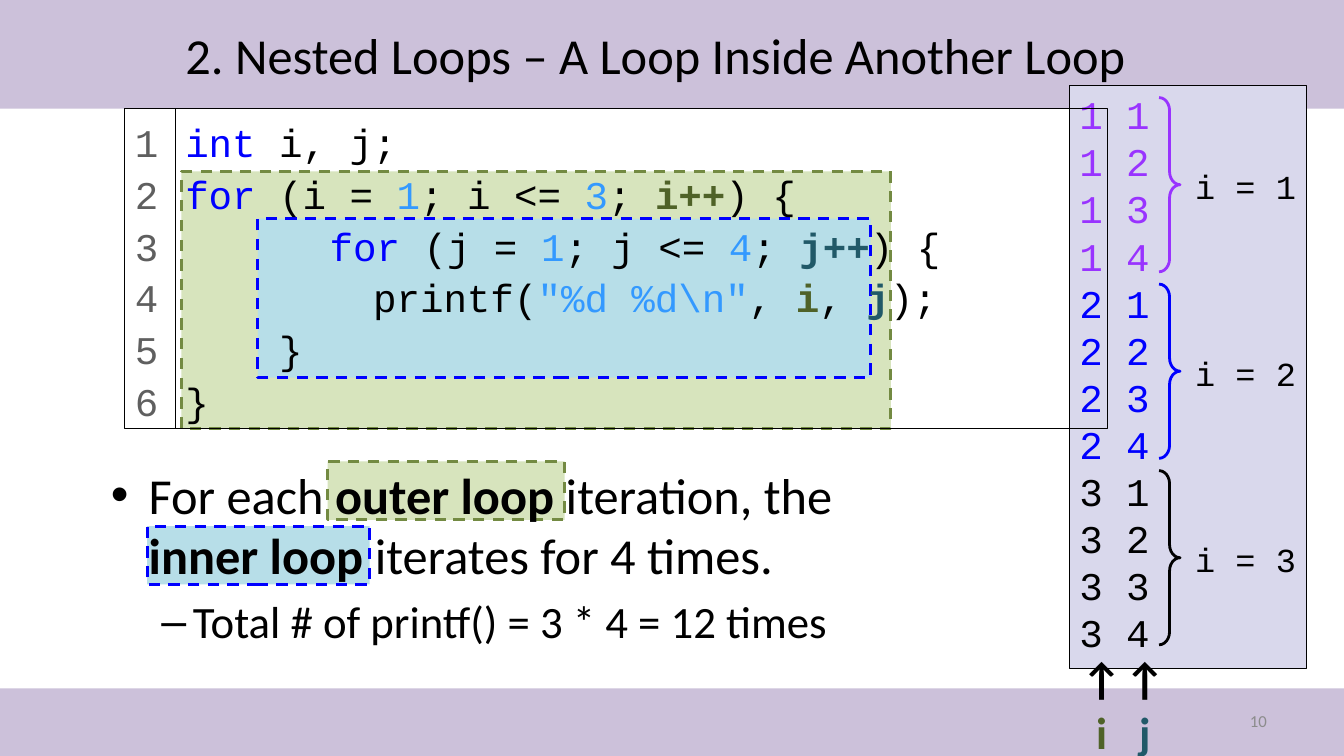
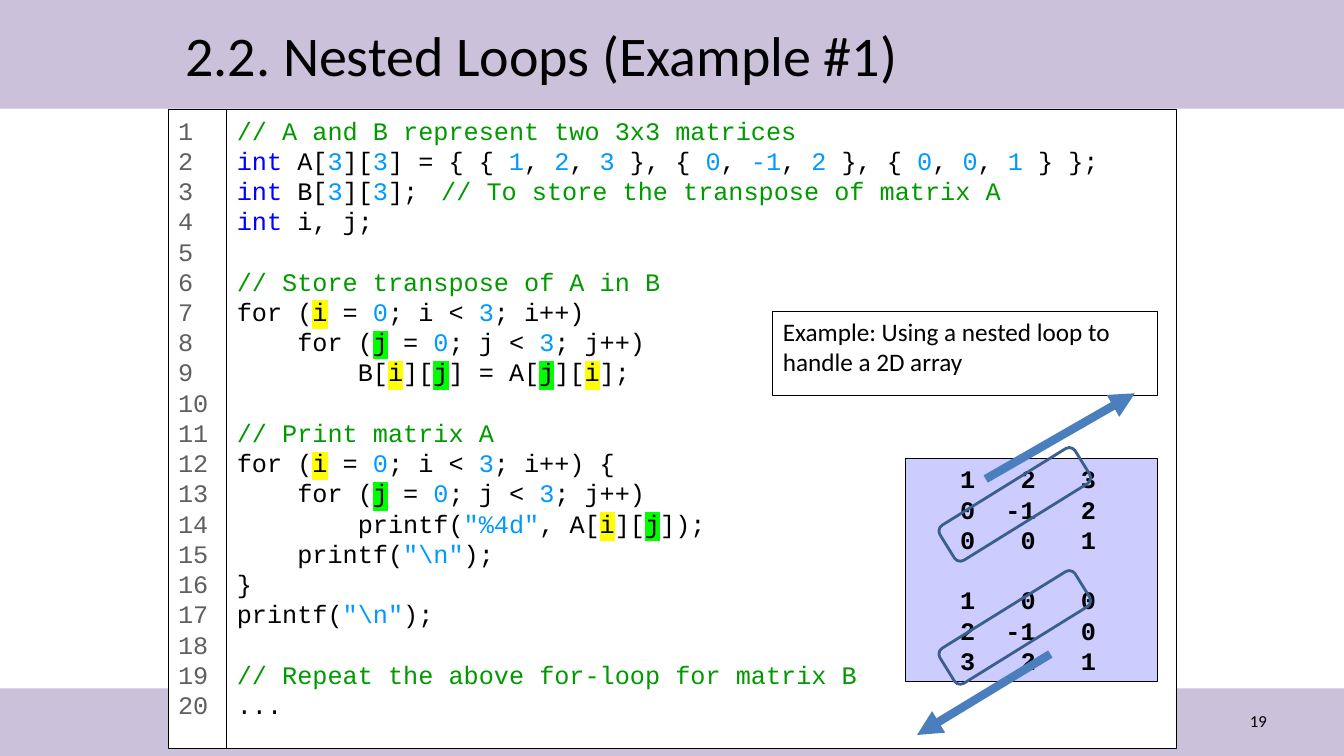
from lxml import etree
from pptx import Presentation
from pptx.dml.color import RGBColor
from pptx.enum.dml import MSO_LINE
from pptx.enum.shapes import MSO_CONNECTOR, MSO_SHAPE
from pptx.enum.text import MSO_ANCHOR, MSO_AUTO_SIZE, PP_ALIGN
from pptx.oxml.ns import qn
from pptx.util import Cm, Pt

RECTANGLE, ROUNDED = MSO_SHAPE.RECTANGLE, MSO_SHAPE.ROUNDED_RECTANGLE
BRACE = MSO_SHAPE.RIGHT_BRACE
STRAIGHT, DASH = MSO_CONNECTOR.STRAIGHT, MSO_LINE.DASH
TOP, MIDDLE = MSO_ANCHOR.TOP, MSO_ANCHOR.MIDDLE
LEFT, CENTER, RIGHT = PP_ALIGN.LEFT, PP_ALIGN.CENTER, PP_ALIGN.RIGHT

BLACK = RGBColor(0x00, 0x00, 0x00)
WHITE = RGBColor(0xFF, 0xFF, 0xFF)
GRAY = RGBColor(0x5F, 0x5F, 0x5F)
LIGHT_GRAY = RGBColor(0x8C, 0x8C, 0x8C)
BAND = RGBColor(0xCC, 0xC1, 0xDA)
BLUE = RGBColor(0x00, 0x00, 0xFF)
PURPLE = RGBColor(0x99, 0x33, 0xFF)
SKY = RGBColor(0x33, 0x99, 0xFF)
AZURE = RGBColor(0x00, 0x99, 0xFF)
COMMENT_GREEN = RGBColor(0x00, 0x99, 0x00)
OLIVE = RGBColor(0x4F, 0x62, 0x28)
TEAL = RGBColor(0x21, 0x59, 0x68)
OUTER_FILL = RGBColor(0xD7, 0xE4, 0xBD)
OUTER_LINE = RGBColor(0x73, 0x8A, 0x42)
INNER_FILL = RGBColor(0xB7, 0xDE, 0xE8)
OUTPUT_FILL = RGBColor(0xD9, 0xD8, 0xEC)
MATRIX_FILL = RGBColor(0xCC, 0xCC, 0xFF)
RING = RGBColor(0x3A, 0x5F, 0x8C)
ARROW = RGBColor(0x4B, 0x7E, 0xBC)

SANS, MONO = "Calibri", "Courier New"
LINE_PITCH = 1.2  # height of a code line relative to its font size

# Code mark-up: `Xtext` sets text in style X: (colour, bold, highlight)
STYLES = {
    "k": (BLUE, False, None),
    "n": (SKY, False, None),
    "a": (AZURE, False, None),
    "c": (COMMENT_GREEN, False, None),
    "o": (OLIVE, True, None),
    "t": (TEAL, True, None),
    "y": (BLACK, False, "FFFF00"),
    "g": (BLACK, False, "00FF00"),
}

# Content of the loop slide
LOOP_CODE = [
    "`kint `i, j;",
    "`kfor` (i = `n1`; i <= `n3`; `oi++`) {",
    "\t    `kfor` (j = `n1`; j <= `n4`; `tj++`) {",
    "        printf(`n\"%d %d\\n\"`, `oi`, `tj`);",
    "    }",
    "}",
]
LOOP_COLORS = [PURPLE, BLUE, BLACK]
INNER_COUNT = 4
LOOP_BOXES = [  # place, fill, line
    ((4.57, 4.32, 17.88, 6.48), OUTER_FILL, OUTER_LINE),
    ((6.5, 5.51, 15.44, 4.01), INNER_FILL, BLUE),
    ((8.26, 11.63, 5.97, 1.47), OUTER_FILL, OUTER_LINE),
    ((3.71, 13.26, 5.61, 1.47), INNER_FILL, BLUE),
]
LOOP_POINTS = [  # level, size, lines of (text, bold)
    (0, 36, [[("For each ", False), ("outer loop", True), (" iteration, the", False)],
             [("inner loop", True), (" iterates for 4 times.", False)]]),
    (1, 32, [[("Total # of printf() = 3 * 4 = 12 times", False)]]),
]
COUNTERS = [("i", OLIVE), ("j", TEAL)]

# Content of the matrix slide
MATRIX_CODE = [
    "`c// A and B represent two 3x3 matrices`",
    "`kint` A[`a3`][`a3`] = { { `a1`, `a2`, `a3` }, { `a0`, `a-1`, `a2` }, "
    "{ `a0`, `a0`, `a1` } };",
    "`kint` B[`a3`][`a3`];\t`c// To store the transpose of matrix A`",
    "`kint `i, j;",
    "",
    "`c// Store transpose of A in B`",
    "for (`yi` = `a0`; i < `a3`; i++)",
    "    for (`gj` = `a0`; j < `a3`; j++)",
    "        B[`yi`][`gj`] = A[`gj`][`yi`];",
    "",
    "`c// Print matrix A`",
    "for (`yi` = `a0`; i < `a3`; i++) {",
    "    for (`gj` = `a0`; j < `a3`; j++)",
    "        printf(`a\"%4d\"`, A[`yi`][`gj`]);",
    "    printf(`a\"\\n\"`);",
    "}",
    "printf(`a\"\\n\"`);",
    "",
    "`c// Repeat the above for-loop for matrix B`",
    "...",
]
MATRIX_A = [(1, 2, 3), (0, -1, 2), (0, 0, 1)]
MATRIX_B = list(zip(*MATRIX_A))
DIAGONAL_TOPS = [12.19, 15.29]
DIAGONAL_ARROWS = [(24.84, 12.07, 28.6, 9.91), (26.47, 16.48, 23.11, 18.52)]


def lengths(place):
    return [Cm(value) for value in place]


def add_box(slide, place, fill=None, line=None, width=0.75, dash=None, kind=RECTANGLE):
    shape = slide.shapes.add_shape(kind, *lengths(place))
    shape.shadow.inherit = False
    if fill is None:
        shape.fill.background()
    else:
        shape.fill.solid()
        shape.fill.fore_color.rgb = fill
    if line is None:
        shape.line.fill.background()
    else:
        shape.line.color.rgb = line
        shape.line.width = Pt(width)
        if dash is not None:
            shape.line.dash_style = dash
    frame = shape.text_frame
    frame.word_wrap = True
    frame.vertical_anchor = TOP
    return shape


def add_textbox(slide, place):
    frame = slide.shapes.add_textbox(*lengths(place)).text_frame
    frame.word_wrap = True
    return frame


def next_paragraph(frame, align=LEFT):
    first = frame.paragraphs[0]
    paragraph = frame.add_paragraph() if first.runs else first
    paragraph.alignment = align
    return paragraph


def add_run(paragraph, text, size, color=BLACK, bold=False, name=SANS, highlight=None):
    run = paragraph.add_run()
    run.text = text
    font = run.font
    font.size, font.bold, font.name = Pt(size), bold, name
    font.color.rgb = color
    if highlight:
        mark = etree.Element(qn("a:highlight"))
        etree.SubElement(mark, qn("a:srgbClr"), val=highlight)
        run._r.rPr.find(qn("a:solidFill")).addnext(mark)


def set_tabs(paragraph, stops, align):
    tabs = etree.SubElement(paragraph._p.get_or_add_pPr(), qn("a:tabLst"))
    for stop in stops:
        etree.SubElement(tabs, qn("a:tab"), pos=str(Cm(stop)), algn=align)


def add_listing(slide, lines, place, gutter, size, tab, spacing=None):
    """Draw a code box with a column of line numbers to its left."""
    left, top, _, height = place
    numbers = add_box(slide, (left - gutter, top, gutter, height), WHITE, BLACK).text_frame
    numbers.margin_right = 0
    code = add_box(slide, place, None, BLACK).text_frame
    blank_lines = 0
    for number, line in enumerate(lines, 1):
        paragraph = next_paragraph(numbers)
        add_run(paragraph, str(number), size, GRAY, name=MONO)
        paragraph.line_spacing = spacing
        if not line:
            blank_lines += 1
            continue
        paragraph = next_paragraph(code)
        if "\t" in line:
            set_tabs(paragraph, [tab], "l")
        paragraph.line_spacing = spacing
        if blank_lines:
            paragraph.space_before = Pt(blank_lines * size * LINE_PITCH)
            blank_lines = 0
        for index, part in enumerate(line.split("`")):
            color, bold, highlight = BLACK, False, None
            if index % 2:
                color, bold, highlight = STYLES[part[0]]
                part = part[1:]
            if part:
                add_run(paragraph, part, size, color, bold, MONO, highlight)


def add_slide(presentation, layout, title, title_size, number, number_color):
    slide = presentation.slides.add_slide(presentation.slide_layouts[layout])
    shape = slide.shapes.title
    shape.left, shape.top, shape.width, shape.height = lengths((4.42, 0.2, 24.79, 2.34))
    shape.text_frame.auto_size = MSO_AUTO_SIZE.NONE
    shape.text_frame.vertical_anchor = MIDDLE
    add_run(next_paragraph(shape.text_frame), title, title_size)
    frame = add_textbox(slide, (24.28, 17.65, 7.9, 1.02))
    frame.vertical_anchor = MIDDLE
    add_run(next_paragraph(frame, RIGHT), number, 12, number_color)
    return slide


def add_master_bands(presentation, slide):
    """Draw the two bands and move them behind everything on the master."""
    tree = presentation.slide_master.shapes._spTree
    for place in [(0, 0, 33.87, 2.74), (0, 17.35, 33.87, 1.7)]:
        tree.insert(2, add_box(slide, place, BAND)._element)


def build_loop_slide(presentation):
    slide = add_slide(presentation, 1, "2. Nested Loops – A Loop Inside Another Loop",
                      36, "10", LIGHT_GRAY)
    add_master_bands(presentation, slide)
    for place, fill, line in LOOP_BOXES:
        add_box(slide, place, fill, line, 2, DASH)

    # Program output, one brace for each value of i
    output = add_box(slide, (26.95, 2.16, 5.97, 14.68), OUTPUT_FILL, BLACK).text_frame
    for index, color in enumerate(LOOP_COLORS):
        for inner in range(1, INNER_COUNT + 1):
            add_run(next_paragraph(output), f"{index + 1} {inner}", 28, color, name=MONO)
        offset = 4.7 * index
        brace = add_box(slide, (29.21, 2.46 + offset, 0.53, 4.39), None, color, 2, kind=BRACE)
        brace.adjustments[0] = 0.62
        label = add_textbox(slide, (29.87, 4.06 + offset, 3.58, 1.78))
        add_run(next_paragraph(label), f"i = {index + 1}", 24, name=MONO)

    # Arrows under the two output columns
    for index, (name, color) in enumerate(COUNTERS):
        frame = add_textbox(slide, (27.23 + 1.09 * index, 16.28, 1.07, 2.75))
        frame.margin_left = frame.margin_right = 0
        add_run(next_paragraph(frame, CENTER), "↑", 32, bold=True)
        add_run(next_paragraph(frame, CENTER), name, 32, color, True)

    # Explanation, in front of the dashed boxes
    body = slide.placeholders[1]
    body.left, body.top, body.width, body.height = lengths((2.54, 11.56, 24.56, 5.59))
    slide.shapes._spTree.append(body._element)
    frame = body.text_frame
    frame.auto_size = MSO_AUTO_SIZE.NONE
    for level, size, lines in LOOP_POINTS:
        paragraph = next_paragraph(frame)
        paragraph.level = level
        for index, line in enumerate(lines):
            if index:
                paragraph.add_line_break()
            for text, bold in line:
                add_run(paragraph, text, size, bold=bold)
    frame.paragraphs[0].space_before = Pt(0)

    add_listing(slide, LOOP_CODE, (4.42, 2.74, 23.5, 8.05), 1.27, 28, 1.27, 1.1)


def build_matrix_slide(presentation):
    slide = add_slide(presentation, 5, "2.2. Nested Loops (Example #1)", 40, "19", BLACK)
    add_box(slide, (4.24, 2.77, 25.41, 16.1), WHITE)
    add_listing(slide, MATRIX_CODE, (5.72, 2.77, 23.93, 16.1), 1.48, 18, 5.15)

    # Printed matrices, right-aligned in columns
    frame = add_box(slide, (22.81, 11.56, 6.35, 5.61), MATRIX_FILL, BLACK).text_frame
    for matrix in (MATRIX_A, MATRIX_B):
        for index, row in enumerate(matrix):
            paragraph = next_paragraph(frame)
            set_tabs(paragraph, [1.52 * column for column in (1, 2, 3)], "r")
            if matrix is MATRIX_B and index == 0:
                paragraph.space_before = Pt(18 * LINE_PITCH)
            text = "".join(f"\t{value}" for value in row)
            add_run(paragraph, text, 18, bold=True, name=MONO)

    note = add_box(slide, (19.48, 7.85, 9.68, 2.11), None, BLACK).text_frame
    add_run(next_paragraph(note), "Example: Using a nested loop to handle a 2D array", 18)

    # Rings and arrows along the diagonals
    for top in DIAGONAL_TOPS:
        ring = add_box(slide, (23.57, top, 4.01, 1.04), None, RING, 2, kind=ROUNDED)
        ring.rotation = 328.2
    for ends in DIAGONAL_ARROWS:
        arrow = slide.shapes.add_connector(STRAIGHT, *lengths(ends))
        arrow.line.color.rgb = ARROW
        arrow.line.width = Pt(6)
        etree.SubElement(arrow.line._get_or_add_ln(), qn("a:tailEnd"), type="triangle")
        etree.SubElement(arrow._element.spPr, qn("a:effectLst"))


def main():
    presentation = Presentation()
    presentation.slide_width, presentation.slide_height = Cm(33.87), Cm(19.05)
    build_loop_slide(presentation)
    build_matrix_slide(presentation)
    presentation.save("out.pptx")


if __name__ == "__main__":
    main()
